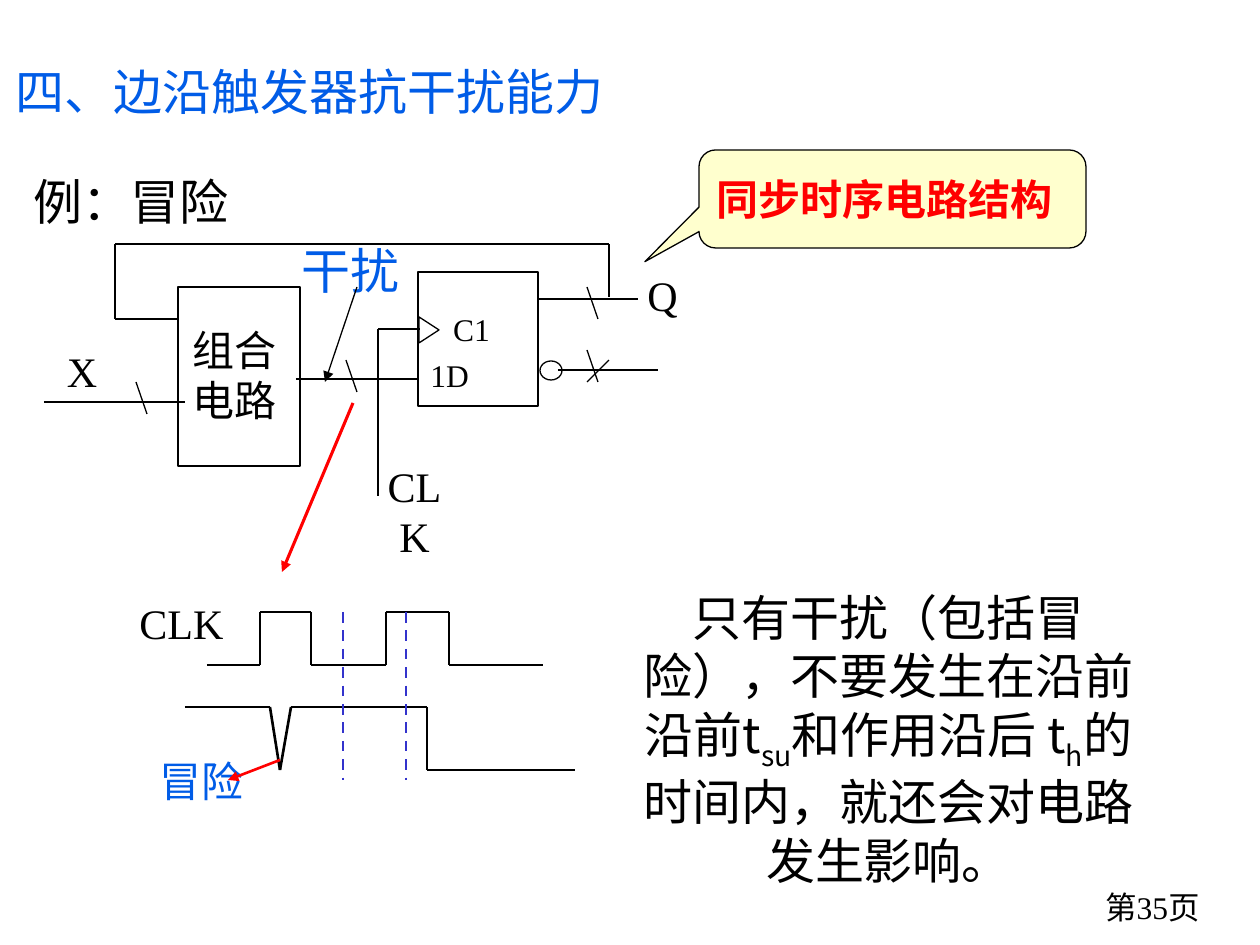
"""Build a slide on the interference resistance of edge-triggered flip-flops."""
from itertools import pairwise

from lxml import etree
from pptx import Presentation
from pptx.dml.color import RGBColor
from pptx.enum.dml import MSO_LINE
from pptx.enum.shapes import MSO_CONNECTOR, MSO_SHAPE
from pptx.enum.text import MSO_ANCHOR, PP_ALIGN
from pptx.oxml.ns import qn
from pptx.util import Emu, Pt

PX = 914400 / 126
BLACK = RGBColor(0, 0, 0)
BLUE = RGBColor(0x00, 0x5C, 0xE7)
RED = RGBColor(0xFF, 0, 0)
INDIGO = RGBColor(0x33, 0x33, 0xCC)
CREAM = RGBColor(0xFF, 0xFF, 0x99)
SANS = "Noto Sans CJK SC"
SERIF = "Times New Roman"

prs = Presentation()
prs.slide_width, prs.slide_height = Emu(round(1260 * PX)), Emu(round(945 * PX))
s = prs.slides.add_slide(prs.slide_layouts[6])


def write(text, box=None, shape=None, size=24, font=SERIF, color=BLACK,
          bold=False, align=PP_ALIGN.CENTER, wrap=True):
    """Write text, with _{} marking subscripts, in a new box or a given shape."""
    sp = shape or s.shapes.add_textbox(*(Emu(round(v * PX)) for v in box))
    tf = sp.text_frame
    tf.word_wrap = wrap
    p = tf.paragraphs[0]
    p.alignment = align
    p._p.get_or_add_pPr().set("hangingPunct", "0")
    for chunk in text.split("_{"):
        sub, mark, rest = chunk.partition("}")
        for part, base in ((sub, "-25000"), (rest, None)) if mark else ((sub, None),):
            r = p.add_run()
            r.text = part
            r.font.size, r.font.name, r.font.bold = Pt(size), font, bold
            r.font.color.rgb = color
            rPr = r.font._element
            etree.SubElement(rPr, qn("a:ea")).set("typeface", SANS)
            if base:
                rPr.set("baseline", base)


def path(*points, color=BLACK, width=0.75, dash=False, arrow=False):
    """Join the points with straight lines."""
    for a, b in pairwise(points):
        c = s.shapes.add_connector(MSO_CONNECTOR.STRAIGHT,
                                   *(Emu(round(v * PX)) for v in a + b))
        c.line.color.rgb = color
        c.line.width = Pt(width)
        if dash:
            c.line.dash_style = MSO_LINE.DASH
        if arrow:
            etree.SubElement(c.line._get_or_add_ln(), qn("a:tailEnd")).set("type", "triangle")
        etree.SubElement(c._element.spPr, qn("a:effectLst"))


outlines = [
    (MSO_SHAPE.RECTANGLE, (418, 272, 120, 134), 0),
    (MSO_SHAPE.ISOSCELES_TRIANGLE, (416, 320, 26, 20), 90),
    (MSO_SHAPE.RECTANGLE, (178, 287, 122, 179), 0),
    (MSO_SHAPE.OVAL, (540, 361, 22, 19), 0),
]
for kind, box, turn in outlines:
    sp = s.shapes.add_shape(kind, *(Emu(round(v * PX)) for v in box))
    sp.rotation = turn
    sp.shadow.inherit = False
    sp.fill.background()
    sp.line.color.rgb = BLACK
    sp.line.width = Pt(0.75)

wires = [
    [(538, 299), (638, 299)],
    [(558, 370), (658, 370)],
    [(296, 379), (418, 379)],
    [(420, 329), (378, 329), (378, 496)],
    [(44, 402), (185, 402)],
    [(609, 297), (609, 244), (115, 244), (115, 319), (178, 319)],
    [(587, 382), (609, 360)],
]
for wire in wires:
    path(*wire)
for x, y in [(587, 287), (587, 350), (346, 360), (136, 382)]:
    path((x, y), (x + 11, y + 32))

HIGH, LOW = 612, 665
path((207, LOW), (260, LOW), (260, HIGH), (311, HIGH), (311, LOW), (386, LOW),
     (386, HIGH), (449, HIGH), (449, LOW), (543, LOW), width=1.5)
path((185, 707), (270, 707), (280, 770), (291, 707), (427, 707), (427, 770),
     (575, 770), width=1.5)
for x in (343, 406):
    path((x, HIGH), (x, 780), color=INDIGO, width=1.5, dash=True)

write("四、边沿触发器抗干扰能力", (0, 55, 619, 72), size=28, font=SANS, color=BLUE, wrap=False)
write("例：冒险", (-50, 165, 362, 131), size=28)
write("干扰", (288, 234, 125, 72), size=28, color=BLUE, wrap=False)
write("1D", (397, 350, 105, 54), size=18)
write("C1", (427, 304, 89, 54), size=18)
write("CLK", (367, 454, 95, 115))
write("Q", (635, 263, 49, 63))
write("组合电路", (178, 318, 113, 113))
write("X", (49, 339, 66, 63))
write("CLK", (126, 591, 111, 64), wrap=False)
write("冒险", (146, 749, 111, 64), color=BLUE, wrap=False)
write("只有干扰（包括冒险），不要发生在沿前沿前t_{su}和作用沿后 t_{h}的时间内，就还会对电路发生影响。",
      (610, 581, 557, 251), size=28, font=SANS)
write("第35页", (927, 882, 285, 63), size=18, align=PP_ALIGN.RIGHT)

path((357, 287), (325, 382), arrow=True)
path((353, 403), (282, 572), color=RED, width=1.75, arrow=True)
path((280, 760), (228, 780), color=RED, width=1.5, arrow=True)

sp = s.shapes.add_shape(MSO_SHAPE.ROUNDED_RECTANGULAR_CALLOUT,
                        *(Emu(round(v * PX)) for v in (699, 150, 387, 98)))
for i, value in enumerate((-0.64, 0.64, 0.17)):
    sp.adjustments[i] = value
sp.shadow.inherit = False
sp.fill.solid()
sp.fill.fore_color.rgb = CREAM
fill_color = sp._element.spPr.find(qn("a:solidFill")).find(qn("a:srgbClr"))
etree.SubElement(fill_color, qn("a:alpha")).set("val", "48000")
sp.line.color.rgb = BLACK
sp.line.width = Pt(0.75)
sp.text_frame.vertical_anchor = MSO_ANCHOR.MIDDLE
write("同步时序电路结构", shape=sp, font=SANS, color=RED, bold=True, align=PP_ALIGN.LEFT)

prs.save("out.pptx")
